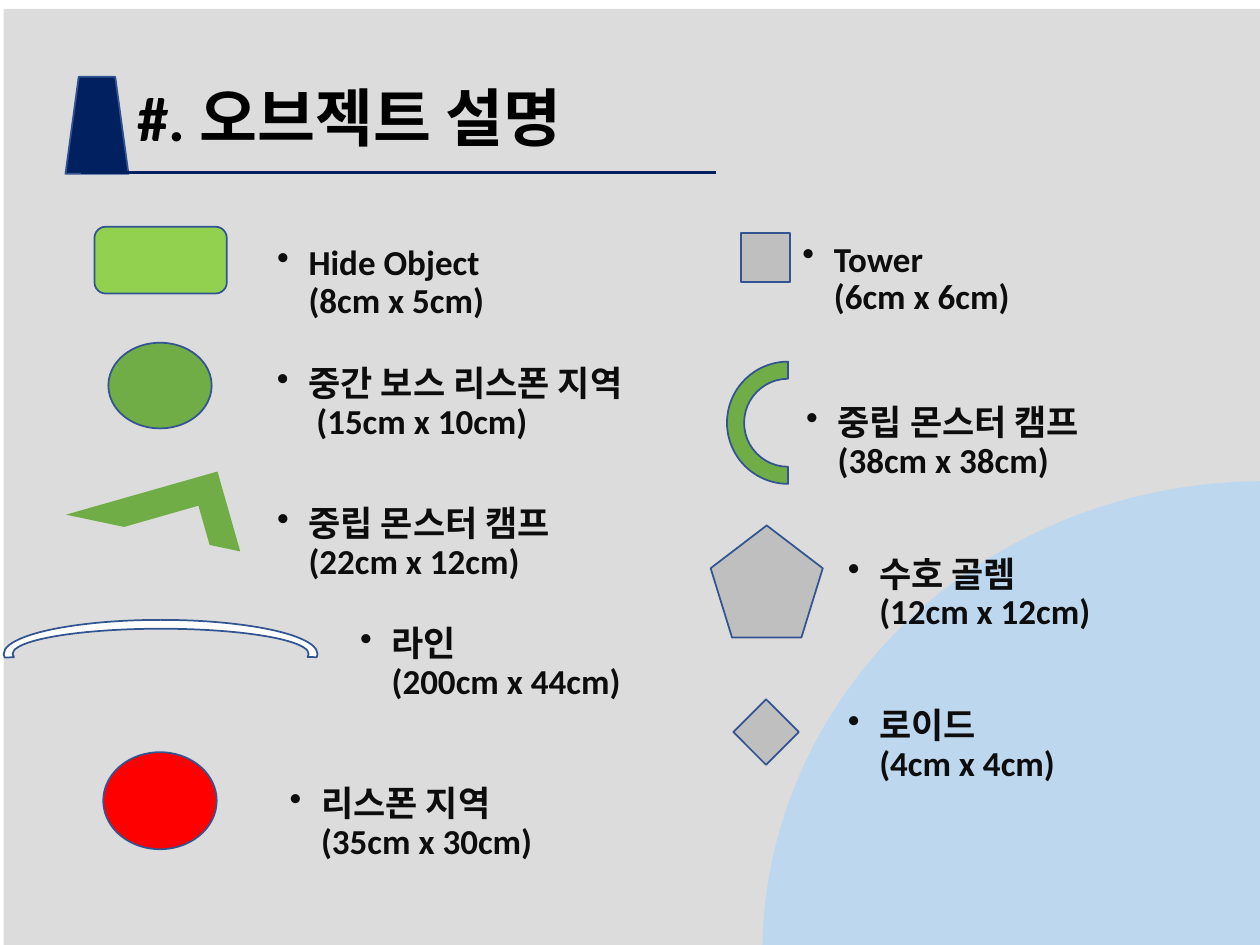
from dataclasses import dataclass

from lxml.etree import SubElement
from pptx import Presentation
from pptx.dml.color import RGBColor
from pptx.enum.shapes import MSO_CONNECTOR, MSO_SHAPE as Preset
from pptx.enum.text import MSO_ANCHOR, MSO_AUTO_SIZE, PP_ALIGN
from pptx.oxml.ns import qn
from pptx.util import Inches, Pt


@dataclass(frozen=True)
class Theme:
    font: str = "Calibri"
    title_size: int = 36
    label_size: int = 20
    title: str = "000000"
    label: str = "0D0D0D"
    backdrop: str = "DCDCDC"
    sky: str = "BDD7EE"
    navy: str = "002060"
    outline: str = "325491"
    lime: str = "92D050"
    green: str = "70AD47"
    red: str = "FF0000"
    gray: str = "BFBFBF"
    white: str = "FFFFFF"


theme = Theme()
deck = Presentation()
deck.slide_width, deck.slide_height = Inches(10), Inches(7.5)
page = deck.slides.add_slide(deck.slide_layouts[5])


def write_text(box, text, size, color, bullet=False):
    frame = box.text_frame
    frame.word_wrap = True
    frame.auto_size = MSO_AUTO_SIZE.NONE
    frame.vertical_anchor = MSO_ANCHOR.TOP
    para = frame.paragraphs[0]
    para.text = text
    para.alignment = PP_ALIGN.LEFT
    if bullet:
        props = para._p.get_or_add_pPr()
        props.set("marL", str(Inches(0.25)))
        props.set("indent", str(-Inches(0.25)))
        SubElement(props, qn("a:buChar")).set("char", "•")
        para.line_spacing = 0.9
    for span in para.runs:
        span.font.name = theme.font
        span.font.size = Pt(size)
        span.font.bold = True
        span.font.color.rgb = RGBColor.from_string(color)


def draw_shape(preset, place, fill, outlined=True, adjust=(), turn=0):
    shape = page.shapes.add_shape(preset, *map(Inches, place))
    shape.shadow.inherit = False
    shape.fill.solid()
    shape.fill.fore_color.rgb = RGBColor.from_string(fill)
    if outlined:
        shape.line.color.rgb = RGBColor.from_string(theme.outline)
        shape.line.width = Pt(1)
    else:
        shape.line.fill.background()
    for index, value in enumerate(adjust):
        shape.adjustments[index] = value
    shape.rotation = turn
    return shape


draw_shape(Preset.RECTANGLE, (0.03, 0.07, 10, 7.5), theme.backdrop, outlined=False)
draw_shape(Preset.PIE, (6.05, 3.82, 7.95, 7.5), theme.sky, outlined=False, adjust=(107.83, 162))
draw_shape(Preset.TRAPEZOID, (0.52, 0.61, 0.5, 0.77), theme.navy, adjust=(0.21,))

underline = page.shapes.add_connector(
    MSO_CONNECTOR.STRAIGHT, Inches(0.64), Inches(1.37), Inches(5.68), Inches(1.37))
underline.line.color.rgb = RGBColor.from_string(theme.navy)
underline.line.width = Pt(2)
SubElement(underline._element.spPr, qn("a:effectLst"))

title = page.shapes.title
title.left, title.top, title.width, title.height = map(Inches, (0.99, 0.57, 8.32, 0.71))
write_text(title, "#. 오브젝트 설명", theme.title_size, theme.title)
underline._element.addnext(title._element)

draw_shape(Preset.ROUNDED_RECTANGLE, (0.75, 1.8, 1.05, 0.53), theme.lime)
draw_shape(Preset.OVAL, (0.86, 2.72, 0.82, 0.68), theme.green)
camp = draw_shape(Preset.HALF_FRAME, (0.59, 3.9, 1.25, 0.66), theme.green, outlined=False, turn=164.1)
camp._element.spPr.find(qn("a:xfrm")).set("flipV", "1")
draw_shape(Preset.BLOCK_ARC, (0.03, 4.92, 2.49, 0.54), theme.white, adjust=(107.21, 0.72, 0.13))
draw_shape(Preset.OVAL, (0.82, 5.97, 0.9, 0.77), theme.red)
draw_shape(Preset.RECTANGLE, (5.88, 1.85, 0.39, 0.39), theme.gray)
draw_shape(Preset.BLOCK_ARC, (5.77, 2.87, 0.97, 0.97), theme.green, adjust=(108, 0, 0.14), turn=270)
draw_shape(Preset.REGULAR_PENTAGON, (5.64, 4.17, 0.89, 0.89), theme.gray)
draw_shape(Preset.DIAMOND, (5.82, 5.55, 0.52, 0.52), theme.gray)

labels = [
    (2.1, 1.9, 2.39, "Hide Object (8cm x 5cm)"),
    (2.1, 2.86, 3.27, "중간 보스 리스폰 지역\v (15cm x 10cm)"),
    (2.1, 3.97, 2.61, "중립 몬스터 캠프(22cm x 12cm)"),
    (2.76, 4.92, 2.61, "라인\v(200cm x 44cm)"),
    (2.2, 6.19, 2.61, "리스폰 지역\v(35cm x 30cm)"),
    (6.27, 1.87, 2.39, "Tower\v(6cm x 6cm)"),
    (6.3, 3.17, 2.61, "중립 몬스터 캠프(38cm x 38cm)"),
    (6.63, 4.37, 2.61, "수호 골렘\v(12cm x 12cm)"),
    (6.63, 5.57, 2.61, "로이드\v(4cm x 4cm)"),
]
for left, top, width, text in labels:
    box = page.shapes.add_textbox(Inches(left), Inches(top), Inches(width), Inches(0.4))
    write_text(box, text, theme.label_size, theme.label, bullet=True)

deck.save("out.pptx")
